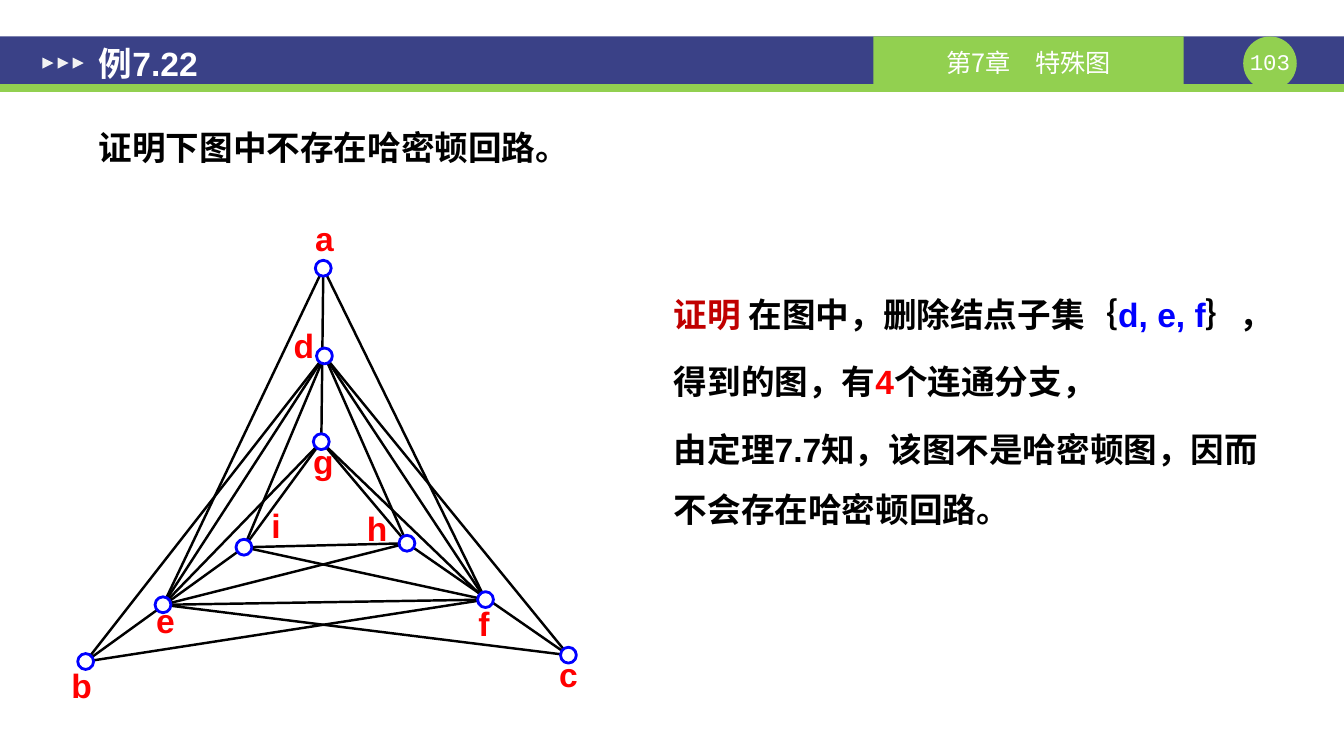
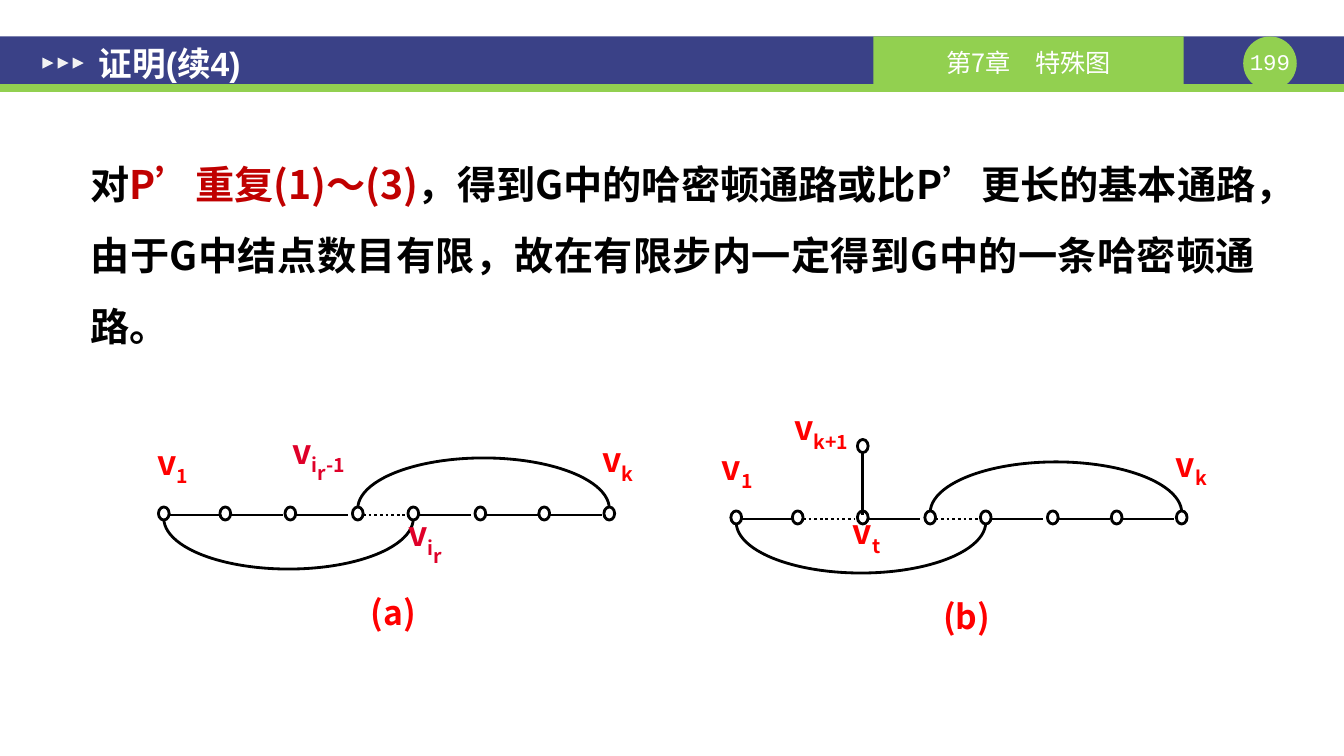
from lxml import etree
from pptx import Presentation
from pptx import util as u
from pptx.dml.color import RGBColor
from pptx.enum import dml, shapes, text
from pptx.oxml import ns

NAVY = RGBColor(0x3A, 0x41, 0x87)
GREEN = RGBColor(0x92, 0xD0, 0x50)
PALE = RGBColor(0xF2, 0xF2, 0xF2)
WHITE = RGBColor(0xFF, 0xFF, 0xFF)
BLACK = RGBColor(0, 0, 0)
RED = RGBColor(0xFF, 0, 0)
DARK_RED = RGBColor(0xC0, 0, 0)
CRIMSON = RGBColor(0xDF, 0, 0x29)
BLUE = RGBColor(0, 0, 0xFF)

LATIN, HAN, MONO = "Arial", "Noto Sans CJK SC", "Courier New"
LEFT, CENTER, JUSTIFY = text.PP_ALIGN.LEFT, text.PP_ALIGN.CENTER, text.PP_ALIGN.JUSTIFY
TOP, MIDDLE = text.MSO_ANCHOR.TOP, text.MSO_ANCHOR.MIDDLE
KIND = shapes.MSO_SHAPE

VERTICES = {
    "a": (8.15, 6.76, 8.18, 5.99),
    "b": (2.16, 16.67, 2.06, 17.27),
    "c": (14.33, 16.51, 14.33, 16.99),
    "d": (8.18, 8.97, 7.66, 8.69),
    "e": (4.11, 15.24, 4.17, 15.62),
    "f": (12.24, 15.11, 12.2, 15.7),
    "g": (8.1, 11.13, 8.15, 11.61),
    "h": (10.26, 13.69, 9.51, 13.31),
    "i": (6.15, 13.79, 6.96, 13.23),
}
EDGES = "ag hc ib ih ig gh bf ec cd bd ae af ef df de eh if di dh gf eg".split()
PATH_STEPS = (0, 1.55, 3.19, 4.89, 6.29, 7.98, 9.59, 11.23)


def write(frame, paragraphs, size=24, font=LATIN, color=BLACK, bold=True, align=LEFT,
          line_spacing=1.0, space_before=0, anchor=TOP, margins=None):
    """Fill a frame; each paragraph is a list of strings or (text, colour, baseline) parts."""
    frame.word_wrap = True
    frame.auto_size = text.MSO_AUTO_SIZE.NONE
    frame.vertical_anchor = anchor
    if margins:
        (frame.margin_left, frame.margin_top,
         frame.margin_right, frame.margin_bottom) = [u.Cm(margin) for margin in margins]
    for index, parts in enumerate(paragraphs):
        paragraph = frame.add_paragraph() if index else frame.paragraphs[0]
        paragraph.alignment = align
        paragraph.line_spacing = line_spacing
        paragraph.space_before = u.Pt(space_before if index else 0)
        for part in parts:
            words, tint, baseline = (part, color, 0) if isinstance(part, str) else part
            run = paragraph.add_run()
            run.text = words
            run.font.size, run.font.bold, run.font.name = u.Pt(size), bold, font
            run.font.color.rgb = tint
            properties = run._r.get_or_add_rPr()
            if baseline:
                properties.set("baseline", str(baseline * 1000))
            etree.SubElement(properties, ns.qn("a:ea")).set("typeface", HAN)


class Deck:
    """Holds the presentation's style and the current slide."""

    def __init__(self):
        """Start an empty wide presentation."""
        self.presentation = Presentation()
        self.presentation.slide_width = u.Cm(33.88)
        self.presentation.slide_height = u.Cm(19.05)
        self.slide = None

    def shape(self, kind, left, top, width, height, fill=None, line=None, weight=2):
        """Add a preset shape."""
        shape = self.slide.shapes.add_shape(
            kind, u.Cm(left), u.Cm(top), u.Cm(width), u.Cm(height))
        shape.shadow.inherit = False
        if fill is None:
            shape.fill.background()
        else:
            shape.fill.solid()
            shape.fill.fore_color.rgb = fill
        if line is None:
            shape.line.fill.background()
        else:
            shape.line.color.rgb = line
            shape.line.width = u.Pt(weight)
        return shape

    def node(self, x, y, width, height, line):
        """Add a white graph node around its centre."""
        self.shape(KIND.OVAL, x - width / 2, y - height / 2, width, height, WHITE, line)

    def line(self, start, end, weight=2, dotted=False):
        """Add a straight black line."""
        connector = self.slide.shapes.add_connector(
            shapes.MSO_CONNECTOR.STRAIGHT, *[u.Cm(value) for value in (*start, *end)])
        connector.line.color.rgb = BLACK
        connector.line.width = u.Pt(weight)
        if dotted:
            connector.line.dash_style = dml.MSO_LINE.ROUND_DOT
        etree.SubElement(connector._element.spPr, ns.qn("a:effectLst"))

    def arc(self, left, right, y, angles):
        """Add half an ellipse between two points on a level."""
        radius = 1.28
        shape = self.shape(KIND.ARC, left, y - radius, right - left, 2 * radius, line=BLACK)
        shape.adjustments[0], shape.adjustments[1] = angles

    def text(self, paragraphs, left, top, width, height, **style):
        """Add a text box."""
        box = self.slide.shapes.add_textbox(
            u.Cm(left), u.Cm(top), u.Cm(width), u.Cm(height))
        write(box.text_frame, paragraphs, **style)

    def label(self, parts, left, top, color=RED):
        """Add a subscripted label to a path diagram."""
        self.text([parts], left, top, 2.1, 1.45, font=HAN, color=color, margins=(0, 0, 0, 0))

    def place(self, placeholder, paragraphs, left, top, width, height, **style):
        """Move and fill a placeholder."""
        placeholder.left, placeholder.top = u.Cm(left), u.Cm(top)
        placeholder.width, placeholder.height = u.Cm(width), u.Cm(height)
        write(placeholder.text_frame, paragraphs, **style)

    def body(self, parts, left, top, width, height, **style):
        """Fill the body placeholder with one unbulleted paragraph."""
        placeholder = self.slide.placeholders[1]
        properties = placeholder.text_frame.paragraphs[0]._p.get_or_add_pPr()
        properties.set("marL", "0")
        properties.set("indent", "0")
        etree.SubElement(properties, ns.qn("a:buNone"))
        self.place(placeholder, [parts], left, top, width, height, **style)

    def start(self, title, number):
        """Add a slide with the shared band, title and page number."""
        layout = self.presentation.slide_layouts[1]
        self.slide = self.presentation.slides.add_slide(layout)
        self.shape(KIND.RECTANGLE, 0, 0.92, 33.88, 1.2, NAVY)
        self.shape(KIND.OVAL, 31.34, 0.92, 1.35, 1.35, GREEN)
        self.shape(KIND.RECTANGLE, 0, 2.12, 33.88, 0.2, GREEN)
        self.text([[str(number)]], 31.34, 1.22, 1.35, 0.69, size=16, font=MONO,
                  color=WHITE, bold=False, align=CENTER, margins=(0, 0, 0, 0))
        chapter = self.shape(KIND.RECTANGLE, 22.02, 0.92, 7.82, 1.2, GREEN)
        write(chapter.text_frame, [["第7章　特殊图"]], size=18, font=HAN, color=WHITE,
              bold=False, align=CENTER, anchor=MIDDLE, margins=(0.25, 0.1, 0.25, 0))
        for index in range(3):
            arrow = self.shape(KIND.ISOSCELES_TRIANGLE, 1.07 + 0.38 * index, 1.45,
                               0.28, 0.28, PALE)
            arrow.rotation = 90
        heading = self.slide.shapes.title
        heading.element.getparent().append(heading.element)
        self.place(heading, [[title]], 2.16, 0.99, 14.8, 1.2, color=WHITE,
                   anchor=MIDDLE, margins=(0.33, 0.18, 0.33, 0.18))

    def graph(self):
        """Draw the nine-vertex graph with its labels."""
        for first, last in EDGES:
            self.line(VERTICES[first][:2], VERTICES[last][:2], 1.75)
        for name, (x, y, label_x, label_y) in VERTICES.items():
            self.text([[name]], label_x - 0.46, label_y - 0.51, 0.92, 1.02,
                      color=RED, align=CENTER, margins=(0, 0, 0, 0))
            self.node(x, y, 0.4, 0.4, BLUE)

    def path_diagram(self, left, y, dotted):
        """Draw a path of eight nodes joined by two arcs."""
        centres = [left + step for step in PATH_STEPS]
        self.arc(centres[3], centres[7], y - 0.12, (108, 0))
        self.arc(centres[0], centres[4], y + 0.12, (0, 108))
        for index, x in enumerate(centres[:-1]):
            self.line((x + 0.13, y + 0.04), (x + 1.45, y + 0.04), dotted=index in dotted)
        for x in centres:
            self.node(x, y, 0.27, 0.33, BLACK)
        return centres


def sub(words, color=RED, depth=25):
    """Make a subscript part."""
    return words, color, -depth


def example_slide(deck):
    """Build the example with its graph and proof."""
    deck.start("例7.22", 103)
    deck.body(["证明下图中不存在哈密顿回路。"], 2.16, 2.82, 25.88, 2.26,
              line_spacing=1.2, margins=(0.33, 0.18, 0.33, 0.18))
    deck.text([
        [("证明 ", DARK_RED, 0), "在图中，删除结点子集｛", ("d, e, f", BLUE, 0), "｝，"],
        ["得到的图，有", ("4", RED, 0), "个连通分支，"],
        ["由定理7.7知，该图不是哈密顿图，因而不会存在哈密顿回路。"],
    ], 16.74, 6.78, 15.6, 6.83, line_spacing=1.5, space_before=4.8)
    deck.graph()


def proof_slide(deck):
    """Build the continued proof with its two path diagrams."""
    deck.start("证明(续4)", 199)
    deck.body(["对", ("P’重复(1)～(3)", DARK_RED, 0),
               "，得到G中的哈密顿通路或比P’更长的基本通路，"
               "由于G中结点数目有限，故在有限步内一定得到G中的一条哈密顿通路。"],
              2.03, 3.33, 29.87, 5.44, size=28, font=HAN, align=JUSTIFY, line_spacing=1.5)
    deck.path_diagram(4.13, 12.94, {3})
    centres = deck.path_diagram(18.56, 13.04, {1, 3})
    branch = centres[2]
    deck.line((branch, 11.24), (branch, 12.98))
    deck.node(branch, 11.24, 0.27, 0.33, BLACK)
    inner = [sub("i", CRIMSON), sub("r", CRIMSON, 50)]
    deck.label(["v", *inner, sub("-1", CRIMSON)], 7.37, 10.85, CRIMSON)
    deck.label(["v", *inner], 10.29, 12.93, CRIMSON)
    for index, left, top in (("1", 3.96, 11.13), ("k", 15.19, 11.07), ("1", 18.2, 11.25),
                             ("k", 29.64, 11.18), ("k+1", 20.02, 10.26), ("t", 21.5, 12.88)):
        deck.label(["v", sub(index)], left, top)
    deck.label(["(a)"], 9.35, 14.91)
    deck.label(["(b)"], 23.78, 15.01)


def main():
    """Build and save the presentation."""
    deck = Deck()
    example_slide(deck)
    proof_slide(deck)
    deck.presentation.save("out.pptx")


if __name__ == "__main__":
    main()
